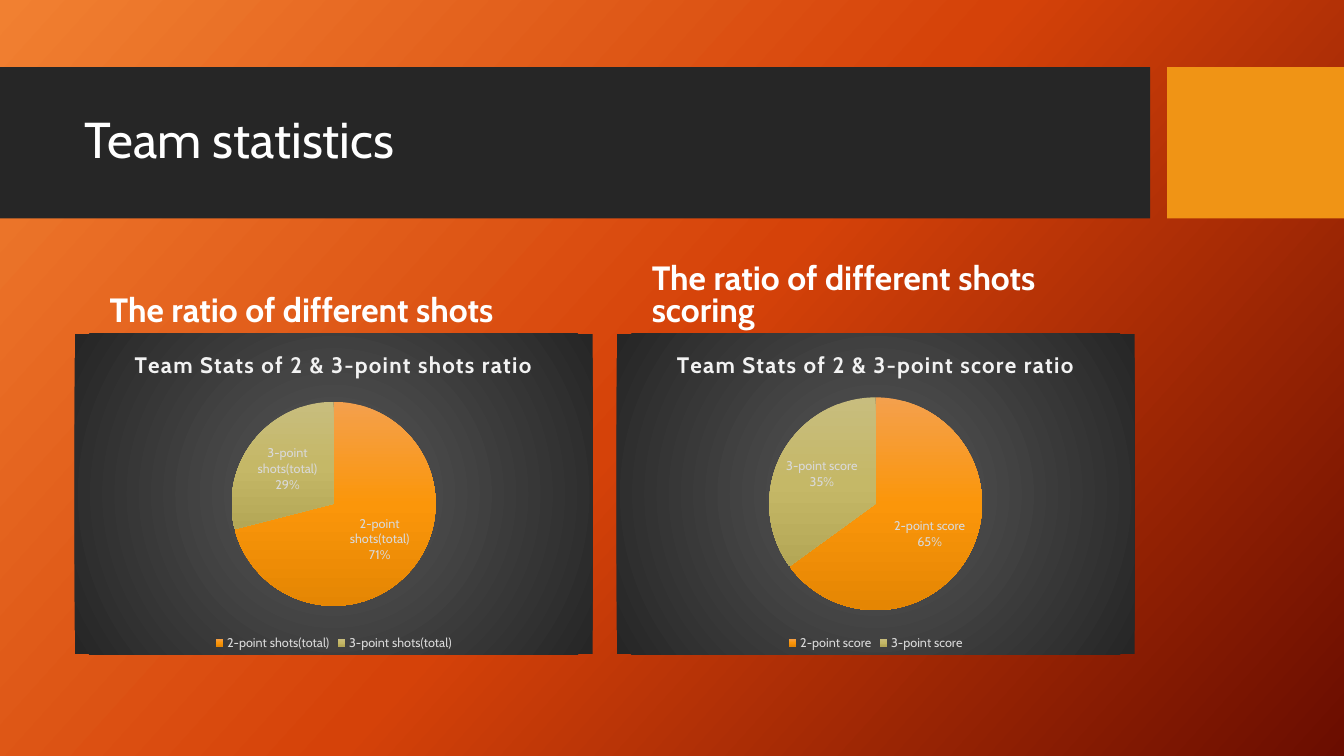
from lxml import etree
from pptx import Presentation
from pptx.chart.data import CategoryChartData
from pptx.dml.color import RGBColor
from pptx.enum import chart as ch, shapes, text
from pptx.oxml import parse_xml
from pptx.oxml.ns import nsdecls, qn
from pptx.util import Pt

# Content
TITLE = "Team statistics"
PANELS = [
    dict(heading="The ratio of different shots", spacing=0.9,
         title="Team Stats of 2 & 3-point shots ratio",
         shares={"2-point shots(total)": 71, "3-point shots(total)": 29},
         diameter=145.7),
    dict(heading="The ratio of different shots scoring", spacing=0.8,
         title="Team Stats of 2 & 3-point score ratio",
         shares={"2-point score": 65, "3-point score": 35},
         diameter=152),
]

# Style
FONT = "Cabin"
WHITE = RGBColor(0xFF, 0xFF, 0xFF)
TITLE_GREY = RGBColor(0xF2, 0xF2, 0xF2)
LABEL_GREY = RGBColor(0xD9, 0xD9, 0xD9)
BAND = RGBColor(0x26, 0x26, 0x26)
ACCENT = RGBColor(0xF0, 0x94, 0x15)
BACKDROP = [(0, RGBColor(0xF1, 0x80, 0x31)), (50, RGBColor(0xD5, 0x42, 0x09)),
            (100, RGBColor(0x6A, 0x0D, 0x00))]
PANEL_FILL = [(0, RGBColor(0x59, 0x59, 0x59)), (100, BAND)]
SLICES = [
    [(0, RGBColor(0xF4, 0xA0, 0x4D)), (50, RGBColor(0xFB, 0x96, 0x0A)),
     (100, RGBColor(0xE5, 0x86, 0x03))],
    [(0, RGBColor(0xC8, 0xBD, 0x7E)), (50, RGBColor(0xC5, 0xB8, 0x67)),
     (100, RGBColor(0xB4, 0xA7, 0x56))],
]

# Layout, in points
WIDTH, HEIGHT = 960, 540
BAND_TOP, BAND_H, BAND_W, ACCENT_X = 48, 108, 821.5, 833.75
LEFT, RIGHT = 53.3, 810.5
CHART_TOP, CHART_W, CHART_H = 238.5, 370, 229
HEAD_TOP, HEAD_W, HEAD_H = 184.3, 352, 54.5
PIE_CENTRE_Y = 0.53


def gradient(stops, angle=None):
    """Linear gradient at an angle, or circular from the centre."""
    gs = "".join(f'<a:gs pos="{pos * 1000}"><a:srgbClr val="{color}"/></a:gs>'
                 for pos, color in stops)
    if angle is None:
        kind = ('<a:path path="circle"><a:fillToRect l="50000" t="50000" '
                'r="50000" b="50000"/></a:path>')
    else:
        kind = f'<a:lin ang="{angle * 60000}" scaled="0"/>'
    return parse_xml(f'<a:gradFill {nsdecls("a")} rotWithShape="1">'
                     f'<a:gsLst>{gs}</a:gsLst>{kind}</a:gradFill>')


def set_font(font, size, color, bold=False):
    font.name, font.size, font.bold = FONT, Pt(size), bold
    font.color.rgb = color


def add_rect(x, w, color):
    sp = s.shapes.add_shape(shapes.MSO_SHAPE.RECTANGLE, Pt(x), Pt(BAND_TOP),
                            Pt(w), Pt(BAND_H))
    sp.shadow.inherit = False
    sp.fill.solid()
    sp.fill.fore_color.rgb = color
    sp.line.fill.background()


def add_text(words, x, y, w, h, size, anchor, spacing=0.9, bold=False):
    tf = s.shapes.add_textbox(Pt(x), Pt(y), Pt(w), Pt(h)).text_frame
    tf.word_wrap = True
    tf.vertical_anchor = anchor
    p = tf.paragraphs[0]
    p.line_spacing = spacing
    r = p.add_run()
    r.text = words
    set_font(r.font, size, WHITE, bold)


def add_pie(panel, x):
    data = CategoryChartData()
    data.categories = list(panel["shares"])
    data.add_series("Series 1", list(panel["shares"].values()))
    chart = s.shapes.add_chart(ch.XL_CHART_TYPE.PIE, Pt(x), Pt(CHART_TOP),
                               Pt(CHART_W), Pt(CHART_H), data).chart
    set_font(chart.font, 10, WHITE)

    # Title and legend
    r = chart.chart_title.text_frame.paragraphs[0].add_run()
    r.text = panel["title"]
    set_font(r.font, 16, TITLE_GREY, True)
    r.font._element.set("spc", "100")
    chart.chart_title.include_in_layout = False
    chart.has_legend = True
    chart.legend.position = ch.XL_LEGEND_POSITION.BOTTOM
    chart.legend.include_in_layout = False
    set_font(chart.legend.font, 9, LABEL_GREY)

    # Slices and labels
    plot = chart.plots[0]
    plot.vary_by_categories = True
    for i, stops in enumerate(SLICES):
        fmt = plot.series[0].points[i].format
        fmt.line.fill.background()
        fmt.fill.solid()
        solid = fmt._element.spPr.find(qn("a:solidFill"))
        solid.getparent().replace(solid, gradient(stops, 90))
    plot.has_data_labels = True
    labels = plot.data_labels
    set_font(labels.font, 9, LABEL_GREY)
    labels.show_category_name = labels.show_percentage = True
    labels.show_value = False
    labels.position = ch.XL_LABEL_POSITION.INSIDE_END

    # Panel background
    space = chart._chartSpace
    props = parse_xml(f'<c:spPr {nsdecls("c", "a")}><a:ln><a:noFill/></a:ln></c:spPr>')
    props.insert(0, gradient(PANEL_FILL))
    space.find(qn("c:chart")).addnext(props)

    # Pie placement
    w, h = panel["diameter"] / CHART_W, panel["diameter"] / CHART_H
    area = space.find(qn("c:chart")).find(qn("c:plotArea"))
    for old in area.findall(qn("c:layout")):
        area.remove(old)
    layout = etree.Element(qn("c:layout"))
    manual = etree.SubElement(layout, qn("c:manualLayout"))
    for tag, val in [("layoutTarget", "inner"), ("xMode", "edge"), ("yMode", "edge"),
                     ("x", 0.5 - w / 2), ("y", PIE_CENTRE_Y - h / 2),
                     ("w", w), ("h", h)]:
        etree.SubElement(manual, qn(f"c:{tag}")).set("val", str(val))
    area.insert(0, layout)


prs = Presentation()
prs.slide_width, prs.slide_height = Pt(WIDTH), Pt(HEIGHT)
s = prs.slides.add_slide(prs.slide_layouts[6])

# Background
s.background.fill.solid()
solid = next(s._element.iter(qn("a:solidFill")))
solid.getparent().replace(solid, gradient(BACKDROP, 42))

# Title band
add_rect(0, BAND_W, BAND)
add_rect(ACCENT_X, WIDTH - ACCENT_X, ACCENT)
add_text(TITLE, LEFT, 59, RIGHT - LEFT, 85, 36, text.MSO_ANCHOR.MIDDLE)

# Two panels, headings flush with each chart's right edge
for i, panel in enumerate(PANELS):
    x = LEFT + i * (RIGHT - LEFT - CHART_W)
    add_text(panel["heading"], x + CHART_W - HEAD_W, HEAD_TOP, HEAD_W, HEAD_H,
             24, text.MSO_ANCHOR.BOTTOM, panel["spacing"], True)
    add_pie(panel, x)

prs.save("out.pptx")
